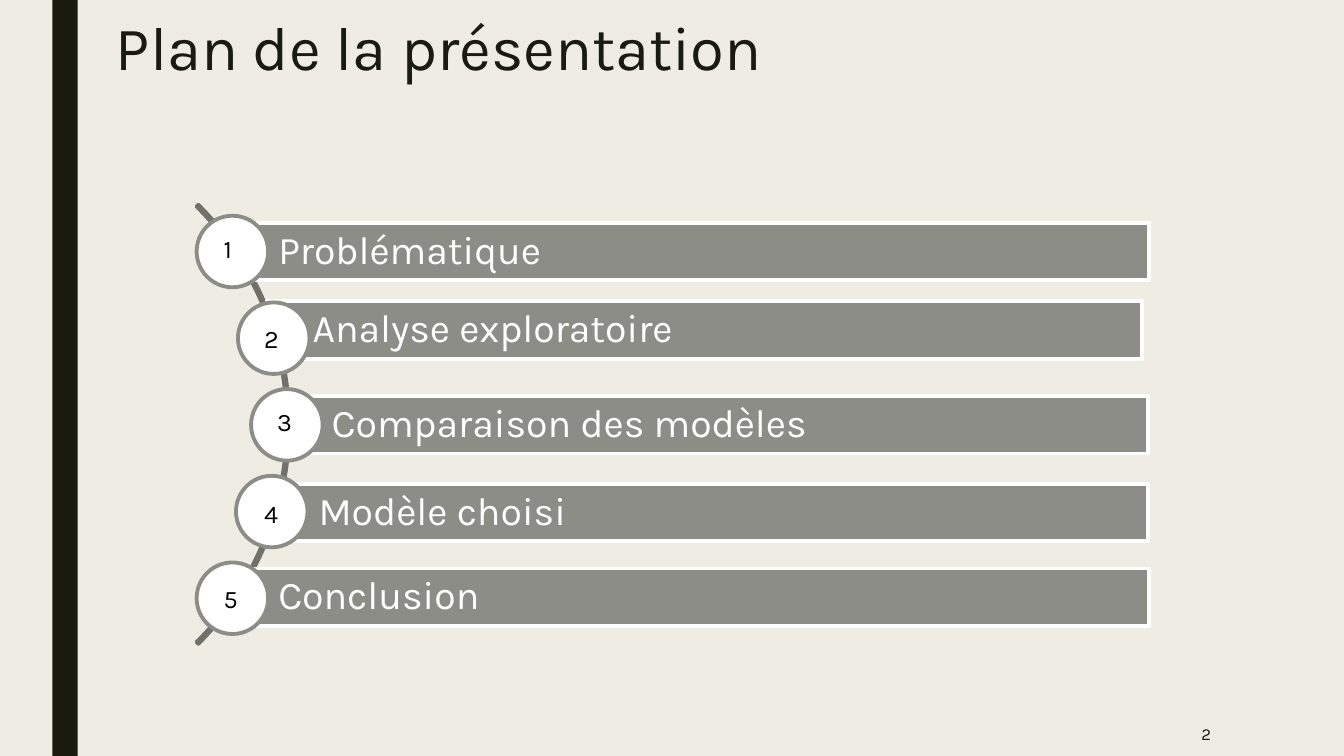
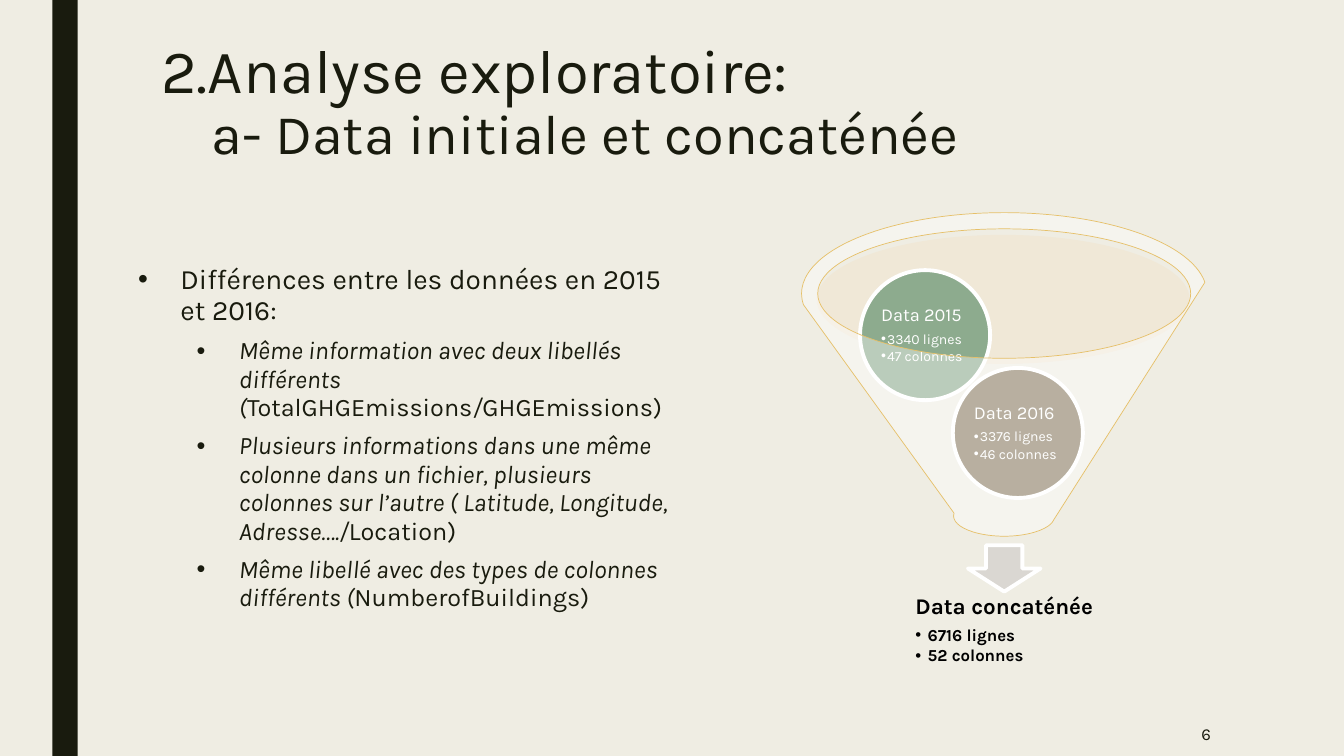
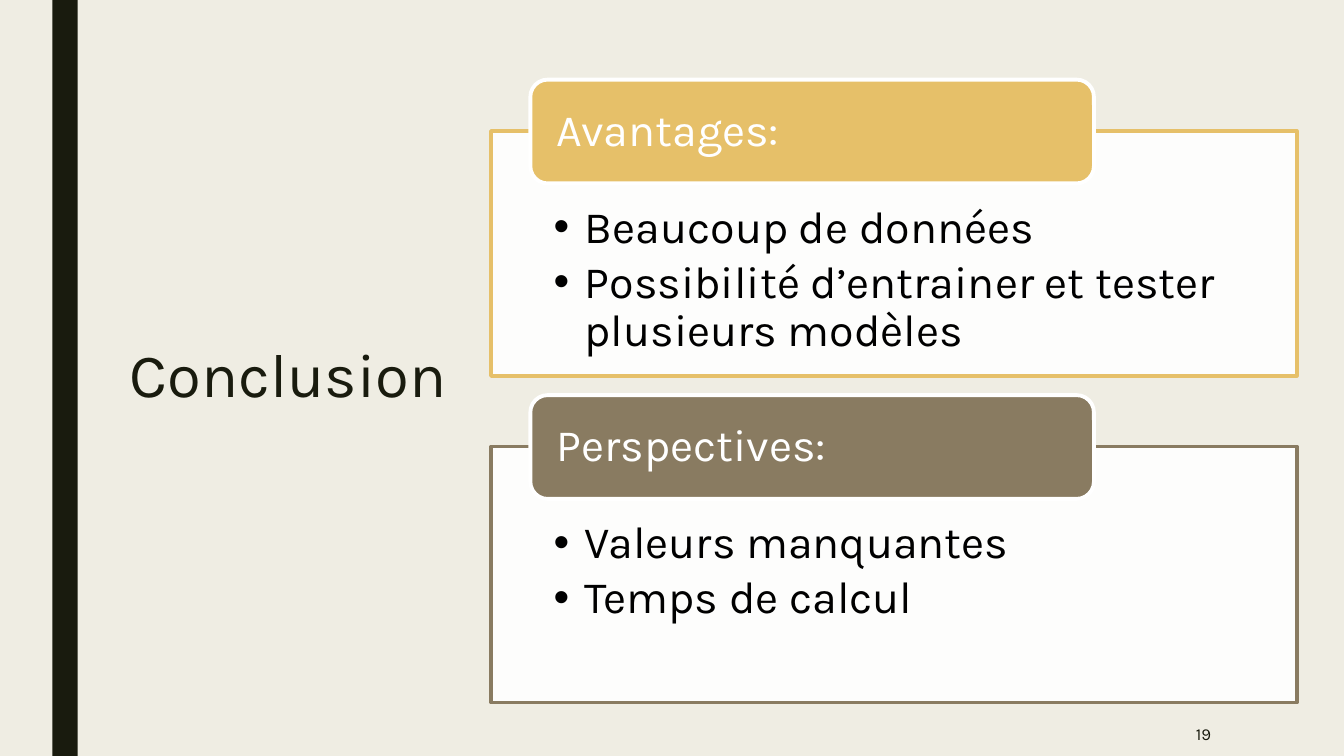
from dataclasses import dataclass

from pptx import Presentation
from pptx.dml.color import RGBColor
from pptx.enum.shapes import MSO_SHAPE
from pptx.enum.text import MSO_ANCHOR, MSO_AUTO_SIZE, PP_ALIGN
from pptx.oxml.ns import qn
from pptx.oxml.xmlchemy import OxmlElement
from pptx.presentation import Presentation as Deck
from pptx.shapes.autoshape import Shape
from pptx.slide import Slide
from pptx.text.text import TextFrame, _Paragraph as Para, _Run as Run
from pptx.util import Inches, Pt

FACE = "Karla"
PAPER, INK, WHITE, BLACK = "EFEDE3", "191B0E", "FFFFFF", "000000"
GREY, STEEL, GOLD, BROWN = "8C8D86", "70716B", "E6C069", "897B61"
GREEN, CREAM, STONE = "8DAB8E", "F3E2C7", "DAD7D2"
Sides = tuple[float, float, float, float]
PAD: Sides = (0.1, 0.05, 0.1, 0.05)


@dataclass
class Line:
    """A paragraph; a hanging indent makes it a bullet."""
    text: str
    size: float
    hang: float = 0
    bold: bool = False


@dataclass
class Step:
    """A numbered row of the plan."""
    text: str
    left: float
    top: float
    width: float
    disc: float
    label: tuple[float, float]


@dataclass
class Ball:
    """A data set inside the funnel."""
    year: str
    rows: str
    cols: str
    left: float
    top: float
    fill: str


@dataclass
class Panel:
    """A framed list with a heading tab."""
    head: str
    items: tuple[str, ...]
    top: float
    height: float
    hue: str


STEPS = [
    Step("Problématique", 2.31, 2.21, 9.09, 1.95, (2.12, 2.27)),
    Step("Analyse exploratoire", 2.65, 2.99, 8.68, 2.36, (2.52, 3.16)),
    Step("Comparaison des modèles", 2.84, 3.93, 8.55, 2.49, (2.65, 3.98)),
    Step("Modèle choisi", 2.71, 4.8, 8.68, 2.34, (2.52, 4.89)),
    Step("Conclusion", 2.31, 5.64, 9.09, 1.95, (2.12, 5.74)),
]
BALLS = [
    Ball("2016", "3376", "46", 9.45, 3.65, BROWN),
    Ball("2015", "3340", "47", 8.53, 2.68, GREEN),
]
PANELS = [
    Panel("Avantages:", ("Beaucoup de données",
          "Possibilité d’entrainer et tester plusieurs modèles"), 1.3, 2.43, GOLD),
    Panel("Perspectives:", ("Valeurs manquantes", "Temps de calcul"),
          4.43, 2.54, BROWN),
]
LEAD = "Différences entre les données en 2015 et 2016:"
NOTES = [
    ("Même information avec deux libellés différents (", "TotalGHGEmissions",
     "/", "GHGEmissions)"),
    ("Plusieurs informations dans une même colonne dans un fichier, plusieurs "
     "colonnes sur l’autre ( Latitude, Longitude, Adresse…./", "Location)"),
    ("Même libellé avec des types de colonnes différents (",
     "NumberofBuildings)"),
]


def tint(code: str) -> RGBColor:
    """Turn a hex string into a colour."""
    return RGBColor.from_string(code)


def place(shape: Shape, box: Sides) -> None:
    """Move and size a shape in inches."""
    shape.left, shape.top, shape.width, shape.height = map(Inches, box)


def style(run: Run, size: float, ink: str = INK) -> None:
    """Set the face, size and colour of a run."""
    run.font.name = FACE
    run.font.size = Pt(size)
    run.font.color.rgb = tint(ink)


def space(para: Para, lead: float, before: float, after: float) -> None:
    """Set line and paragraph spacing."""
    para.line_spacing = lead
    para.space_before, para.space_after = Pt(before), Pt(after)


def dot(para: Para, left: float, hang: float) -> None:
    """Give a paragraph a round bullet."""
    props = para._p.get_or_add_pPr()
    props.set("marL", str(Inches(left)))
    props.set("indent", str(-Inches(hang)))
    for tag, key, value in (("a:buFont", "typeface", "Arial"),
                            ("a:buChar", "char", "•")):
        mark = OxmlElement(tag)
        mark.set(key, value)
        props.append(mark)


def frame(shape: Shape, anchor: MSO_ANCHOR, pad: Sides = PAD) -> TextFrame:
    """Prepare a text frame."""
    text = shape.text_frame
    text.word_wrap = True
    text.auto_size = MSO_AUTO_SIZE.NONE
    text.vertical_anchor = anchor
    (text.margin_left, text.margin_top,
     text.margin_right, text.margin_bottom) = map(Inches, pad)
    return text


def write(shape: Shape, lines: list[Line], ink: str, pad: Sides = PAD,
          anchor: MSO_ANCHOR = MSO_ANCHOR.MIDDLE, lead: float = 0.9,
          align: PP_ALIGN = PP_ALIGN.LEFT) -> None:
    """Fill a shape with paragraphs."""
    text = frame(shape, anchor, pad)
    text.text = "\n".join(line.text for line in lines)
    for para, line in zip(text.paragraphs, lines):
        para.alignment = align
        space(para, lead, 0, line.size * (0.15 if line.hang else 0.35))
        if line.hang:
            dot(para, line.hang, line.hang)
        for run in para.runs:
            style(run, line.size, ink)
            run.font.bold = line.bold


def draw(slide: Slide, kind: MSO_SHAPE, box: Sides, fill: str = "",
         line: str = "", weight: float = 2.75, alpha: int = 100) -> Shape:
    """Add a preset shape."""
    shape = slide.shapes.add_shape(kind, *map(Inches, box))
    shape.shadow.inherit = False
    if fill:
        shape.fill.solid()
        shape.fill.fore_color.rgb = tint(fill)
        if alpha < 100:
            veil = OxmlElement("a:alpha")
            veil.set("val", str(alpha * 1000))
            shape.element.spPr.find(".//" + qn("a:srgbClr")).append(veil)
    else:
        shape.fill.background()
    if line:
        shape.line.color.rgb = tint(line)
        shape.line.width = Pt(weight)
    else:
        shape.line.fill.background()
    return shape


def note(slide: Slide, box: Sides) -> Shape:
    """Add a text box."""
    return slide.shapes.add_textbox(*map(Inches, box))


def start(deck: Deck, layout: int, title: str, box: Sides, page: int,
          anchor: MSO_ANCHOR = MSO_ANCHOR.TOP,
          align: PP_ALIGN = PP_ALIGN.LEFT) -> Slide:
    """Add a slide with its title and page number."""
    slide = deck.slides.add_slide(deck.slide_layouts[layout])
    head = slide.shapes.title
    place(head, box)
    write(head, [Line(title, 44)], INK, anchor=anchor, lead=0.89, align=align)
    write(note(slide, (10.36, 7.06, 1.75, 0.44)), [Line(str(page), 12)], INK,
          lead=1, align=PP_ALIGN.RIGHT)
    return slide


def dress(deck: Deck, slide: Slide) -> None:
    """Put the paper colour and the side band on the master."""
    master = deck.slide_master
    master.background.fill.solid()
    master.background.fill.fore_color.rgb = tint(PAPER)
    band = draw(slide, MSO_SHAPE.RECTANGLE, (0.52, 0, 0.25, 7.5), INK)
    master.shapes.element.insert(2, band.element)


def plan(deck: Deck) -> None:
    """Build the plan slide."""
    slide = start(deck, 5, "Plan de la présentation", (1.05, 0.13, 10.5, 1.62), 2)
    dress(deck, slide)
    arc = draw(slide, MSO_SHAPE.BLOCK_ARC, (-3.29, 1.13, 6.16, 6.16), line=STEEL)
    for spot, value in enumerate((189, 27, 0.004)):
        arc.adjustments[spot] = value
    for rank, step in enumerate(STEPS):
        bar = draw(slide, MSO_SHAPE.RECTANGLE,
                   (step.left, step.top, step.width, 0.57), GREY, WHITE)
        write(bar, [Line(step.text, 28)], WHITE, (0.45, 0.08, 0.08, 0.08))
        draw(slide, MSO_SHAPE.OVAL, (step.disc, 2.14 + 0.86 * rank, 0.71, 0.71),
             WHITE, GREY)
        write(note(slide, (*step.label, 0.38, 0.4)), [Line(str(rank + 1), 18)],
              BLACK, anchor=MSO_ANCHOR.TOP, lead=1)


def data(deck: Deck) -> None:
    """Build the data slide."""
    slide = start(deck, 1,
                  "2.Analyse exploratoire:\v\ta- Data initiale et concaténée",
                  (1.5, 0.36, 10.5, 1.62), 6)
    slide.shapes.title.text_frame.paragraphs[0].runs[1].font.size = Pt(40)

    body = slide.placeholders[1]
    place(body, (1.27, 2.57, 5.48, 4.93))
    text = frame(body, MSO_ANCHOR.TOP)
    text.text = LEAD
    first = text.paragraphs[0]
    space(first, 0.94, 10, 2)
    dot(first, 0.42, 0.42)
    style(first.runs[0], 20)
    for parts in NOTES:
        para = text.add_paragraph()
        para.level = 1
        space(para, 0.94, 5, 2)
        dot(para, 1, 0.42)
        for rank, part in enumerate(parts):
            run = para.add_run()
            run.text = part
            style(run, 18)
            run.font.italic = rank % 2 == 0

    draw(slide, MSO_SHAPE.OVAL, (8.1, 2.33, 3.7, 1.28), CREAM, alpha=40)
    draw(slide, MSO_SHAPE.DOWN_ARROW, (9.6, 5.41, 0.72, 0.46), STONE, WHITE)
    write(note(slide, (8.96, 5.78, 2.72, 0.86)),
          [Line("Data concaténée", 16, bold=True),
           Line("6716 lignes", 12, 0.12, True),
           Line("52 colonnes", 12, 0.12, True)],
          BLACK, (0.12,) * 4, MSO_ANCHOR.TOP)
    for ball in BALLS:
        disc = draw(slide, MSO_SHAPE.OVAL, (ball.left, ball.top, 1.29, 1.29),
                    ball.fill, WHITE)
        write(disc, [Line(f"Data {ball.year}", 13),
                     Line(f"{ball.rows} lignes", 10, 0.06),
                     Line(f"{ball.cols} colonnes", 10, 0.06)],
              WHITE, (0.02,) * 4)
    draw(slide, MSO_SHAPE.FUNNEL, (7.95, 2.11, 4.02, 3.21), WHITE, GOLD, 0.5, 40)


def close(deck: Deck) -> None:
    """Build the closing slide."""
    slide = start(deck, 5, "Conclusion", (0.7, 0.7, 4.32, 6.1), 19,
                  MSO_ANCHOR.MIDDLE, PP_ALIGN.CENTER)
    for panel in PANELS:
        box = draw(slide, MSO_SHAPE.RECTANGLE,
                   (4.87, panel.top, 7.99, panel.height), WHITE, panel.hue,
                   alpha=90)
        write(box, [Line(item, 32, 0.31) for item in panel.items], BLACK,
              (0.62, 0.73, 0.62, 0.25), MSO_ANCHOR.TOP)
        tab = draw(slide, MSO_SHAPE.ROUNDED_RECTANGLE,
                   (5.26, panel.top - 0.51, 5.59, 1.03), panel.hue, WHITE)
        write(tab, [Line(panel.head, 32)], WHITE, (0.21, 0, 0.21, 0))


def main() -> None:
    """Build and save the deck."""
    deck = Presentation()
    deck.slide_width, deck.slide_height = Inches(13.33), Inches(7.5)
    plan(deck)
    data(deck)
    close(deck)
    deck.save("out.pptx")


if __name__ == "__main__":
    main()
